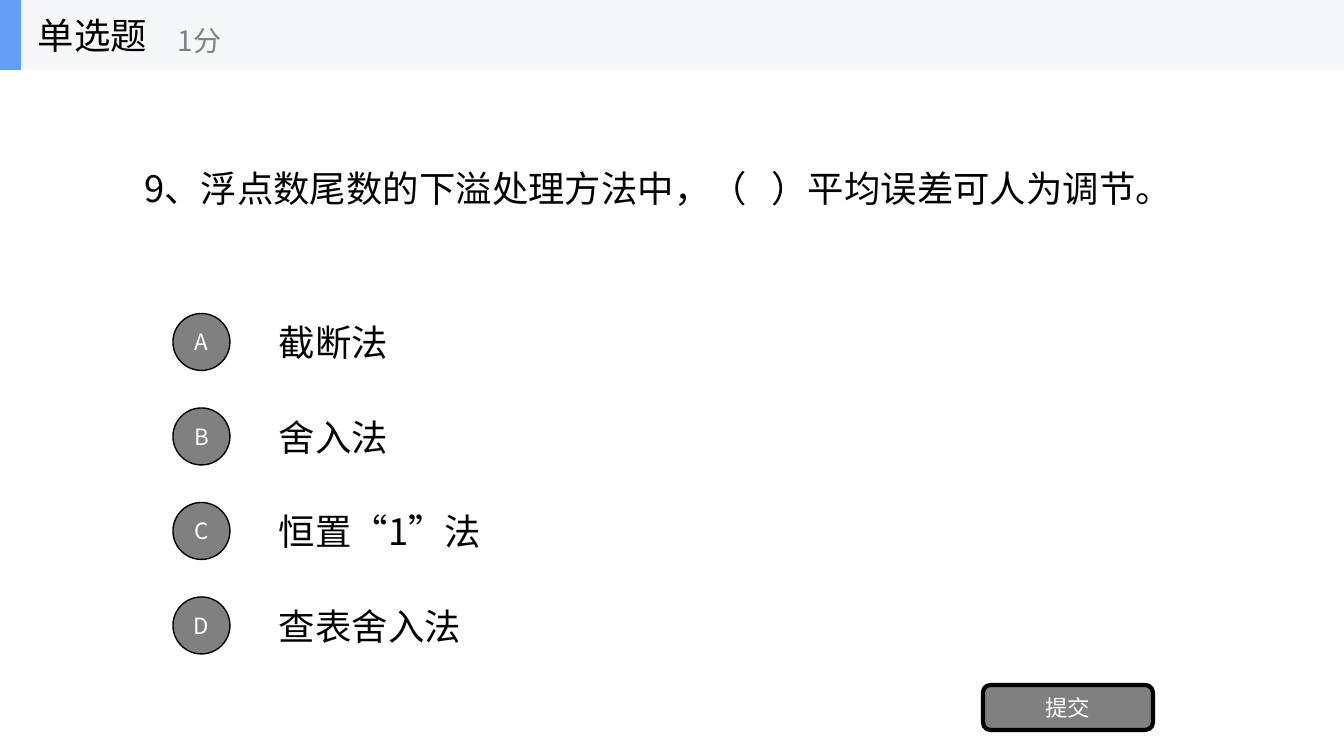
import pptx
import pptx.util
import pptx.dml.color
import pptx.enum.shapes
import pptx.enum.text
import pptx.oxml.ns
import lxml.etree
from dataclasses import dataclass

ASK = "9、浮点数尾数的下溢处理方法中，（   ）平均误差可人为调节。"
PICKS = [("A", "截断法"), ("B", "舍入法"), ("C", "恒置“1”法"), ("D", "查表舍入法")]
KIND = "单选题"
SCORE = "1分"
SEND = "提交"


@dataclass(frozen=True)
class Theme:
    font: str = "Noto Sans CJK SC"
    ink: str = "000000"
    gray: str = "808080"
    white: str = "FFFFFF"
    band: str = "F6F7F8"
    mark: str = "639EF4"
    big: int = 26
    mid: int = 20
    small: int = 16


THEME = Theme()
WIDE, HIGH = 1344, 756
HEAD = 70
ROW, TOP, STEP = 70, 307, 94.5
DOT = 57
FORM = pptx.enum.shapes.MSO_SHAPE
ALIGN = pptx.enum.text.PP_ALIGN


def px(n):
    return pptx.util.Emu(round(n * 914400 / 100.8))


def tint(name):
    return pptx.dml.color.RGBColor.from_string(name)


def write(shape, text, size, color, align=ALIGN.LEFT):
    frame = shape.text_frame
    frame.word_wrap = True
    frame.auto_size = pptx.enum.text.MSO_AUTO_SIZE.NONE
    frame.vertical_anchor = pptx.enum.text.MSO_ANCHOR.MIDDLE
    para = frame.paragraphs[0]
    para.text = text
    para.alignment = align
    font = para.font
    font.size = pptx.util.Pt(size)
    font.color.rgb = tint(color)
    font.name = THEME.font
    name = pptx.oxml.ns.qn
    base = para._p.pPr.find(name("a:defRPr"))
    lxml.etree.SubElement(base, name("a:ea")).set("typeface", THEME.font)


def label(shapes, box, text, size, color):
    write(shapes.add_textbox(*map(px, box)), text, size, color)


def block(shapes, form, box, fill, line=0):
    shape = shapes.add_shape(form, *map(px, box))
    shape.shadow.inherit = False
    shape.fill.solid()
    shape.fill.fore_color.rgb = tint(fill)
    if line:
        shape.line.color.rgb = tint(THEME.ink)
        shape.line.width = pptx.util.Pt(line)
    else:
        shape.line.fill.background()
    return shape


def button(shapes, form, box, text, line):
    shape = block(shapes, form, box, THEME.gray, line)
    frame = shape.text_frame
    frame.margin_left = frame.margin_right = 0
    frame.margin_top = frame.margin_bottom = 0
    write(shape, text, THEME.small, THEME.white, ALIGN.CENTER)


def main():
    deck = pptx.Presentation()
    deck.slide_width, deck.slide_height = px(WIDE), px(HIGH)
    slide = deck.slides.add_slide(deck.slide_layouts[5])
    shapes = slide.shapes

    title = shapes.title
    title.left, title.top, title.width, title.height = map(px, (134, HEAD, 1076, 236))
    write(title, ASK, THEME.big, THEME.ink)

    for i, (key, text) in enumerate(PICKS):
        y = TOP + i * STEP
        label(shapes, (269, y, 941, ROW), text, THEME.big, THEME.ink)
        dot = (173, y + (ROW - DOT) / 2, DOT, DOT)
        button(shapes, FORM.OVAL, dot, key, 1)

    button(shapes, FORM.ROUNDED_RECTANGLE, (983, 685, 170, 45), SEND, 3)

    head = shapes.add_group_shape().shapes
    block(head, FORM.RECTANGLE, (0, 0, WIDE, HEAD), THEME.band)
    block(head, FORM.RECTANGLE, (0, 0, 21, HEAD), THEME.mark)
    label(head, (28, 0, 210, HEAD), KIND, THEME.big, THEME.ink)
    label(head, (168, 12, 252, 56), SCORE, THEME.mid, THEME.gray)

    deck.save("out.pptx")


if __name__ == "__main__":
    main()
